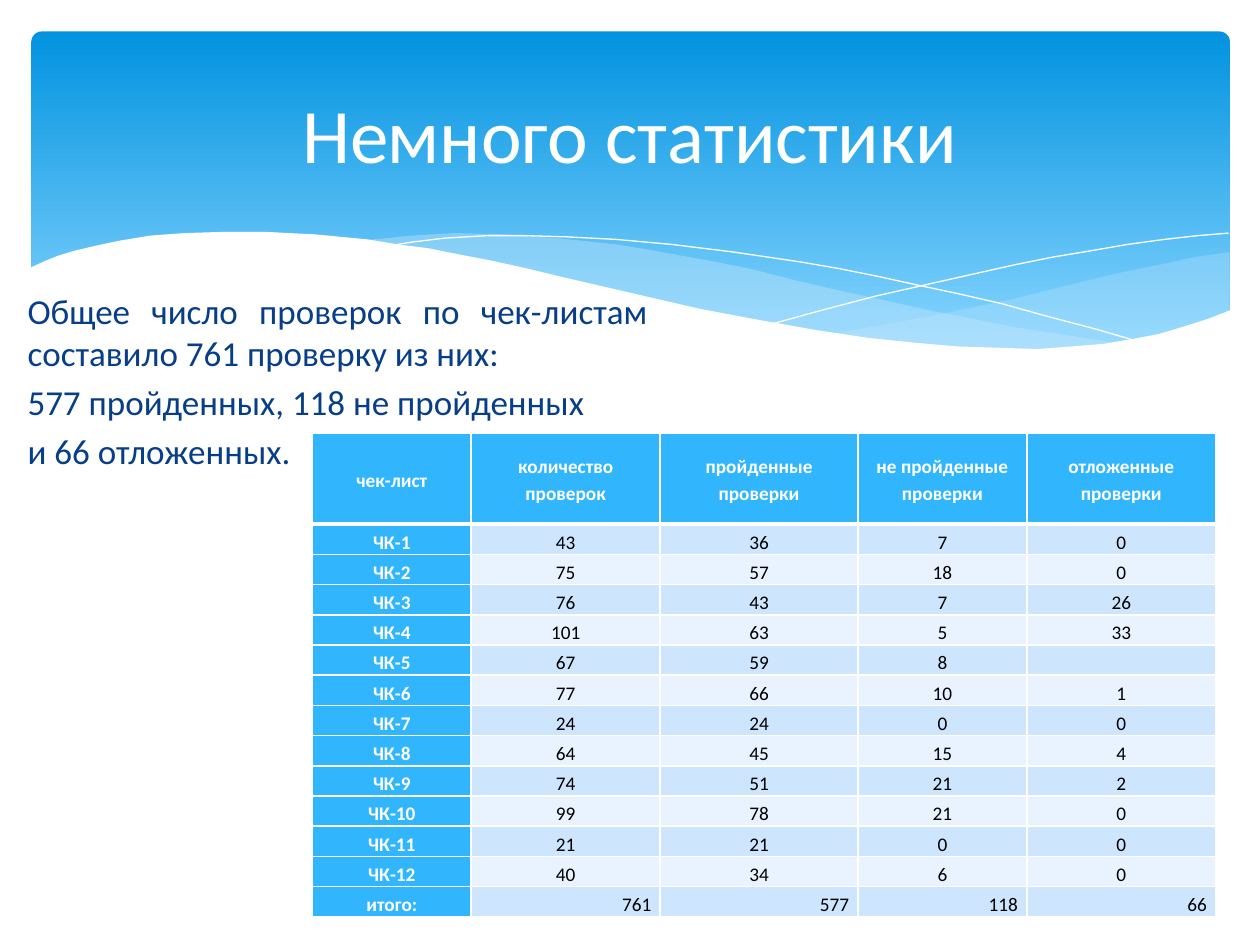
from lxml.etree import SubElement
from pptx import Presentation
from pptx.dml.color import RGBColor
from pptx.enum.shapes import MSO_SHAPE as Shape
from pptx.enum.text import MSO_ANCHOR as Anchor, PP_ALIGN as Align
from pptx.oxml.ns import qn
from pptx.util import Inches, Pt

WHITE = RGBColor(0xFF, 0xFF, 0xFF)
BLACK = RGBColor(0x00, 0x00, 0x00)
NAVY = RGBColor(0x07, 0x3E, 0x87)
SKY_TOP = RGBColor(0x02, 0x93, 0xE0)
SKY_BOTTOM = RGBColor(0x83, 0xD3, 0xFE)
WAVE = RGBColor(0xC6, 0xE7, 0xFC)
HEADER = RGBColor(0x31, 0xB6, 0xFD)
BANDS = (RGBColor(0xCE, 0xE5, 0xFE), RGBColor(0xE8, 0xF3, 0xFF))

# Wave outlines, in inches
RIGHT_WAVE = [
    (9.76, 2), (9.48, 2.04), (9.21, 2.1), (8.91, 2.16), (8.61, 2.23), (8.05, 2.37),
    (7.53, 2.48), (7.06, 2.57), (6.61, 2.65), (6.91, 2.69), (7.19, 2.72), (7.45, 2.75),
    (7.69, 2.77), (8.03, 2.78), (8.44, 2.77), (8.72, 2.74), (8.97, 2.7), (9.21, 2.65),
    (9.42, 2.59), (9.63, 2.52), (9.76, 2.47)]
MIDDLE_WAVE = [
    (8.93, 2.73), (8.66, 2.69), (8.07, 2.6), (7.41, 2.47), (6.68, 2.31), (6.29, 2.22),
    (5.98, 2.14), (5.69, 2.08), (5.41, 2.03), (5.14, 1.98), (4.89, 1.94), (4.42, 1.89),
    (3.99, 1.86), (3.61, 1.85), (3.28, 1.87), (2.86, 1.91), (3.23, 1.96), (3.62, 2.03),
    (4.04, 2.11), (4.49, 2.22), (4.91, 2.32), (5.3, 2.4), (5.66, 2.48), (6.01, 2.55),
    (6.34, 2.61), (6.65, 2.66), (6.95, 2.7), (7.22, 2.74), (7.48, 2.76), (7.73, 2.77),
    (8.07, 2.78), (8.38, 2.78), (8.67, 2.76)]
FALLING_LINE = [
    (3.09, 1.95), (3.28, 1.92), (3.53, 1.89), (3.87, 1.87), (4.16, 1.87), (4.5, 1.88),
    (4.89, 1.9), (5.33, 1.94), (5.82, 2), (6.36, 2.08), (6.65, 2.13), (6.95, 2.19),
    (7.27, 2.26), (7.6, 2.33), (7.95, 2.41), (8.31, 2.51), (8.69, 2.61), (9.07, 2.72)]
RISING_LINE = [
    (6.13, 2.57), (6.53, 2.46), (6.95, 2.35), (7.48, 2.23), (8.06, 2.1), (8.36, 2.04),
    (8.66, 1.99), (8.95, 1.94), (9.24, 1.9), (9.51, 1.87), (9.75, 1.85)]
WHITE_WAVE = [
    (9.77, 2.46), (9.59, 2.53), (9.4, 2.59), (9.2, 2.65), (8.99, 2.69), (8.75, 2.73),
    (8.5, 2.75), (8.23, 2.77), (7.93, 2.76), (7.61, 2.75), (7.26, 2.72), (6.88, 2.68),
    (6.48, 2.62), (6.03, 2.54), (5.55, 2.45), (5.03, 2.33), (4.47, 2.2), (4.18, 2.13),
    (3.91, 2.07), (3.65, 2.02), (3.4, 1.97), (3.16, 1.94), (2.92, 1.9), (2.71, 1.88),
    (2.5, 1.86), (2.3, 1.85), (2.11, 1.84), (1.77, 1.84), (1.46, 1.85), (1.19, 1.87),
    (0.95, 1.91), (0.76, 1.95), (0.59, 1.99), (0.46, 2.03), (0.36, 2.07), (0.23, 2.13),
    (0.23, 3.29), (9.77, 3.29)]

COLUMN_WIDTHS = (1.26, 1.5, 1.57, 1.34, 1.5)
ROW_HEIGHTS = [0.72] + [0.24] * 13
HEADINGS = ("чек-лист", "количество проверок", "пройденные проверки",
            "не пройденные проверки", "отложенные проверки")
CHECKS = [
    (43, 36, 7, 0), (75, 57, 18, 0), (76, 43, 7, 26), (101, 63, 5, 33),
    (67, 59, 8, ""), (77, 66, 10, 1), (24, 24, 0, 0), (64, 45, 15, 4),
    (74, 51, 21, 2), (99, 78, 21, 0), (21, 21, 0, 0), (40, 34, 6, 0)]
TOTALS = ("итого:", 761, 577, 118, 66)


class SlideBuilder:
    """Holds the text style and the slide being filled."""

    def __init__(self, slide, font="Calibri"):
        self.slide = slide
        self.font = font

    def format_paragraph(self, paragraph, size, color, align, bold=False):
        paragraph.alignment = align
        for run in paragraph.runs:
            run.font.name = self.font
            run.font.size = Pt(size)
            run.font.bold = bold
            run.font.color.rgb = color

    def banner(self, left, top, width, height):
        shape = self.slide.shapes.add_shape(
            Shape.ROUNDED_RECTANGLE, Inches(left), Inches(top), Inches(width), Inches(height))
        shape.adjustments[0] = 0.03
        shape.shadow.inherit = False
        shape.line.fill.background()
        shape.fill.gradient()
        shape.fill.gradient_angle = 270
        stops = shape.fill.gradient_stops
        for stop, position, color in zip(stops, (0, 0.9), (SKY_TOP, SKY_BOTTOM)):
            stop.position = position
            stop.color.rgb = color

    def outline(self, points, closed):
        (x, y), *others = [(Inches(x), Inches(y)) for x, y in points]
        builder = self.slide.shapes.build_freeform(x, y)
        builder.add_line_segments(others, close=closed)
        shape = builder.convert_to_shape()
        shape.shadow.inherit = False
        return shape

    def wave(self, points, color, opacity=100):
        shape = self.outline(points, closed=True)
        shape.line.fill.background()
        shape.fill.solid()
        shape.fill.fore_color.rgb = color
        if opacity < 100:
            color_element = shape._element.spPr.find(".//" + qn("a:srgbClr"))
            SubElement(color_element, qn("a:alpha"), val=str(opacity * 1000))

    def curve(self, points):
        shape = self.outline(points, closed=False)
        shape.fill.background()
        shape.line.color.rgb = WHITE
        shape.line.width = Pt(0)

    def title(self, text, left, top, width, height):
        title = self.slide.shapes.title
        title.left, title.top = Inches(left), Inches(top)
        title.width, title.height = Inches(width), Inches(height)
        title.text_frame.text = text
        title.text_frame.vertical_anchor = Anchor.MIDDLE
        self.format_paragraph(title.text_frame.paragraphs[0], 44, WHITE, Align.CENTER)
        # Bring the title in front of the banner
        self.slide.shapes._spTree.append(title._element)

    def text(self, lines, left, top, width, height):
        box = self.slide.shapes.add_textbox(
            Inches(left), Inches(top), Inches(width), Inches(height))
        frame = box.text_frame
        frame.word_wrap = True
        frame.text = "\n".join(line for line, _ in lines)
        for paragraph, (_, align) in zip(frame.paragraphs, lines):
            paragraph.space_before = Pt(4)
            self.format_paragraph(paragraph, 20, NAVY, align)

    def cell_borders(self, cell, top=1, bottom=1):
        properties = cell._tc.get_or_add_tcPr()
        widths = {"a:lnL": 1, "a:lnR": 1, "a:lnT": top, "a:lnB": bottom}
        for tag, width in widths.items():
            line = SubElement(properties, qn(tag), w=str(Pt(width)))
            fill = SubElement(line, qn("a:solidFill"))
            SubElement(fill, qn("a:srgbClr"), val=str(WHITE))

    def table(self, rows, left, top):
        table = self.slide.shapes.add_table(
            len(rows), len(COLUMN_WIDTHS), Inches(left), Inches(top),
            Inches(sum(COLUMN_WIDTHS)), Inches(sum(ROW_HEIGHTS))).table
        for column, width in zip(table.columns, COLUMN_WIDTHS):
            column.width = Inches(width)
        for row, height in zip(table.rows, ROW_HEIGHTS):
            row.height = Inches(height)
        for i, values in enumerate(rows):
            for j, value in enumerate(values):
                cell = table.cell(i, j)
                heading = i == 0 or j == 0
                total = i == len(rows) - 1 and j > 0
                # Borders come before the fill in the cell properties
                self.cell_borders(cell, top=3 if i == 1 else 1, bottom=3 if i == 0 else 1)
                cell.fill.solid()
                cell.fill.fore_color.rgb = HEADER if heading else BANDS[(i - 1) % 2]
                cell.margin_left = cell.margin_right = Inches(0.07)
                cell.margin_top = cell.margin_bottom = 0
                cell.vertical_anchor = Anchor.MIDDLE if i == 0 else Anchor.BOTTOM
                cell.text_frame.text = str(value)
                paragraph = cell.text_frame.paragraphs[0]
                paragraph.line_spacing = 1.15
                self.format_paragraph(paragraph, 11, WHITE if heading else BLACK,
                                      Align.RIGHT if total else Align.CENTER, heading)
                if value == "":
                    # Keeps the empty cell from stretching its row
                    SubElement(paragraph._p, qn("a:endParaRPr"), sz="1100")


def main():
    presentation = Presentation()
    presentation.slide_width, presentation.slide_height = Inches(10), Inches(7.5)
    slide = presentation.slides.add_slide(presentation.slide_layouts[5])
    builder = SlideBuilder(slide)

    # Banner with waves
    builder.banner(0.25, 0.25, 9.51, 2.7)
    builder.wave(RIGHT_WAVE, WAVE, opacity=29)
    builder.wave(MIDDLE_WAVE, WAVE, opacity=40)
    builder.curve(FALLING_LINE)
    builder.curve(RISING_LINE)
    builder.wave(WHITE_WAVE, WHITE)

    # Summary and title
    builder.text([
        ("Общее число проверок по чек-листам составило 761 проверку из них:", Align.JUSTIFY),
        ("577 пройденных, 118 не пройденных", Align.LEFT),
        ("и 66 отложенных.", Align.LEFT)], 0.12, 2.25, 5.12, 2.99)
    builder.title("Немного статистики", 0.5, 0.37, 9, 1.37)

    # Results by checklist
    results = [(f"ЧК-{number}", *counts) for number, counts in enumerate(CHECKS, 1)]
    builder.table([HEADINGS, *results, TOTALS], 2.48, 3.44)

    presentation.save("out.pptx")


if __name__ == "__main__":
    main()
